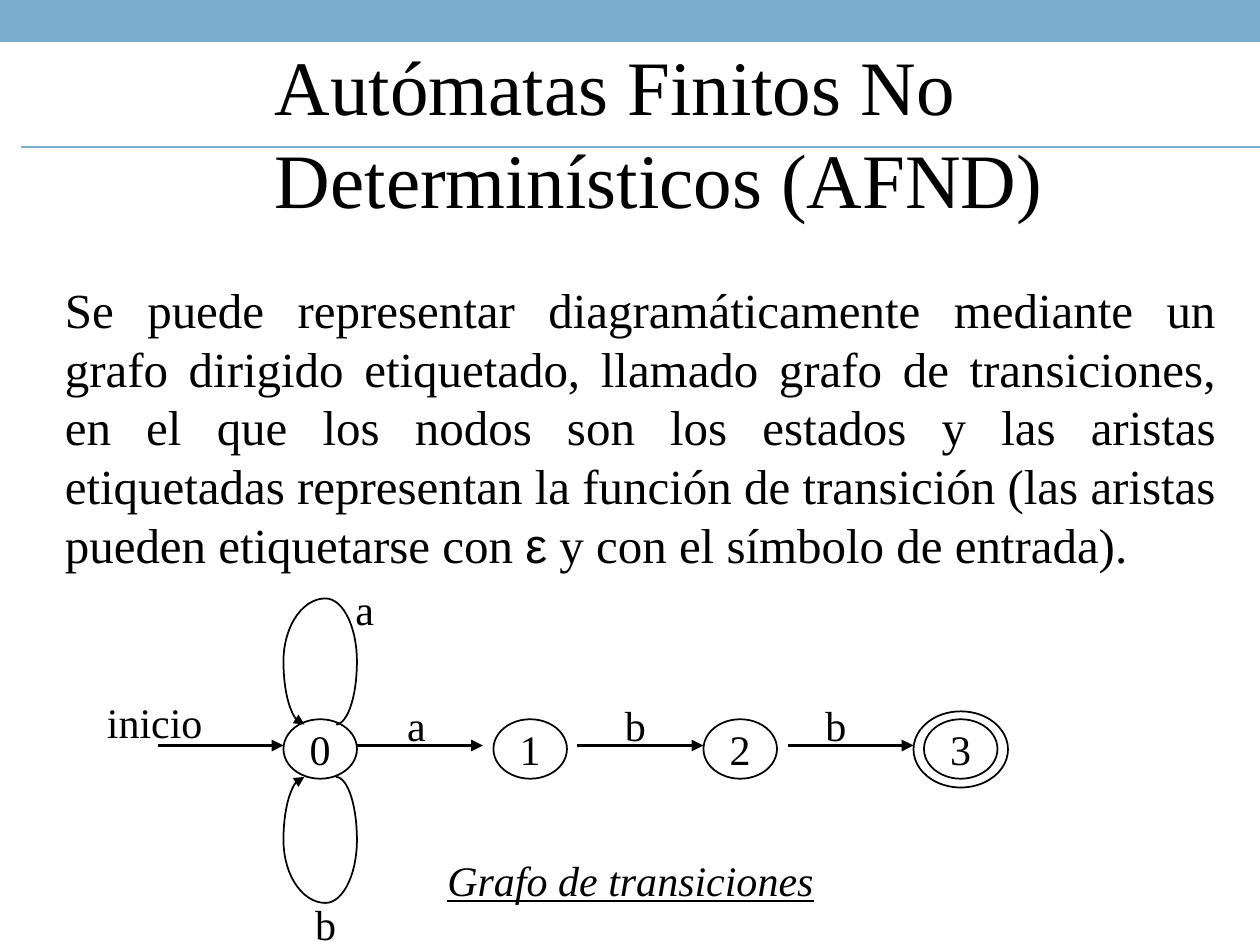
from math import cos, radians, sin

from lxml import etree
from pptx import Presentation
from pptx.dml.color import RGBColor
from pptx.enum.shapes import MSO_CONNECTOR, MSO_SHAPE
from pptx.enum.text import MSO_ANCHOR, PP_ALIGN
from pptx.oxml.ns import qn
from pptx.util import Pt

BLACK = RGBColor(0x00, 0x00, 0x00)
BLUE = RGBColor(0x7B, 0xAE, 0xCE)
SERIF, SANS = "Times New Roman", "Arial"
STRAIGHT = MSO_CONNECTOR.STRAIGHT
RECTANGLE, OVAL = MSO_SHAPE.RECTANGLE, MSO_SHAPE.OVAL
LEFT, CENTER, JUSTIFY = PP_ALIGN.LEFT, PP_ALIGN.CENTER, PP_ALIGN.JUSTIFY
TOP, MIDDLE = MSO_ANCHOR.TOP, MSO_ANCHOR.MIDDLE

# Content: lengths in points
TITLE = "Autómatas Finitos No Determinísticos (AFND)"
BODY = [
    ("Se puede representar diagramáticamente mediante un grafo dirigido etiquetado, "
     "llamado grafo de transiciones, en el que los nodos son los estados y las aristas "
     "etiquetadas representan la función de transición (las aristas pueden etiquetarse con ",
     SERIF),
    ("ε", SANS),
    (" y con el símbolo de entrada).", SERIF),
]
CAPTION = "Grafo de transiciones"
STATES = [("0", 162), ("1", 282), ("2", 402), ("3", 528)]  # name, left
STATE_TOP, STATE_WIDTH, STATE_HEIGHT = 411, 42, 34
ARROW_STARTS = [90, 204, 330, 450]
ARROW_Y, ARROW_LENGTH = 426, 72
LABELS = [  # text, left, top, width
    ("inicio", 54, 394.5, 101),
    ("a", 196, 330, 29),
    ("a", 225.5, 396, 29),
    ("b", 173, 510, 29),
    ("b", 350, 396, 29),
    ("b", 464.5, 396, 29),
]
LOOPS = [(414, -1), (444, 1)]  # y at the state, direction away from it
LOOP_QUARTERS = [(192, 12), (186, 18), (186, 24), (174, 12)]  # centre x, radius
LOOP_RADIUS = 36
STEP = 6  # degrees between points of a loop

presentation = Presentation()
presentation.slide_width, presentation.slide_height = Pt(720), Pt(540)
slide = presentation.slides.add_slide(presentation.slide_layouts[6])
shapes = slide.shapes


def write(shape, runs, size, align=LEFT, anchor=TOP, wrap=True):
    frame = shape.text_frame
    frame.word_wrap = wrap
    frame.vertical_anchor = anchor
    paragraph = frame.paragraphs[0]
    paragraph.alignment = align
    for text, font_name in runs:
        run = paragraph.add_run()
        run.text = text
        run.font.name = font_name
        run.font.size = Pt(size)
        run.font.color.rgb = BLACK
    return paragraph


def add_text(runs, left, top, width, height, size, **layout):
    box = shapes.add_textbox(Pt(left), Pt(top), Pt(width), Pt(height))
    return write(box, runs, size, **layout)


def add_arrowhead(shape):
    etree.SubElement(shape.line._get_or_add_ln(), qn("a:tailEnd"), type="triangle")


def add_line(left, right, y, color, width):
    line = shapes.add_connector(STRAIGHT, Pt(left), Pt(y), Pt(right), Pt(y))
    line.line.color.rgb = color
    line.line.width = Pt(width)
    etree.SubElement(line._element.spPr, qn("a:effectLst"))
    return line


def outline(shape):
    shape.shadow.inherit = False
    shape.fill.background()
    shape.line.color.rgb = BLACK
    shape.line.width = Pt(1)


def add_oval(left, top, width, height):
    oval = shapes.add_shape(OVAL, Pt(left), Pt(top), Pt(width), Pt(height))
    outline(oval)
    return oval


def add_loop(attach_y, direction):
    center_y = attach_y + direction * LOOP_RADIUS
    points = []
    for quarter, (center_x, radius) in enumerate(LOOP_QUARTERS):
        start = -90 + 90 * quarter
        for degrees in range(start, start + 91, STEP):
            angle = radians(degrees)
            points.append((Pt(center_x + radius * cos(angle)),
                           Pt(center_y + direction * LOOP_RADIUS * sin(angle))))
    builder = shapes.build_freeform(*points[0])
    builder.add_line_segments(points[1:], close=False)
    loop = builder.convert_to_shape()
    outline(loop)
    add_arrowhead(loop)


# Top band and rule
band = shapes.add_shape(RECTANGLE, 0, 0, Pt(720), Pt(24))
band.shadow.inherit = False
band.fill.solid()
band.fill.fore_color.rgb = BLUE
band.line.fill.background()
add_line(12, 720, 84, BLUE, 1)

# Title and explanation
add_text([(TITLE, SERIF)], 150, 18, 558, 114, 44, anchor=MIDDLE)
add_text(BODY, 30, 156, 672, 276, 28, align=JUSTIFY)

# States, the last one with a double ring
for name, left in STATES:
    state = add_oval(left, STATE_TOP, STATE_WIDTH, STATE_HEIGHT)
    write(state, [(name, SERIF)], 24, align=CENTER, anchor=MIDDLE, wrap=False)
add_oval(522, 406.5, 54, 43.5)

# Transitions
for start in ARROW_STARTS:
    add_arrowhead(add_line(start, start + ARROW_LENGTH, ARROW_Y, BLACK, 2.25))
for attach_y, direction in LOOPS:
    add_loop(attach_y, direction)

# Labels and caption
for text, left, top, width in LABELS:
    add_text([(text, SERIF)], left, top, width, 36, 24)
caption = add_text([(CAPTION, SERIF)], 248.5, 484.5, 317.5, 36, 24)
caption.runs[0].font.italic = True
caption.runs[0].font.underline = True

presentation.save("out.pptx")
